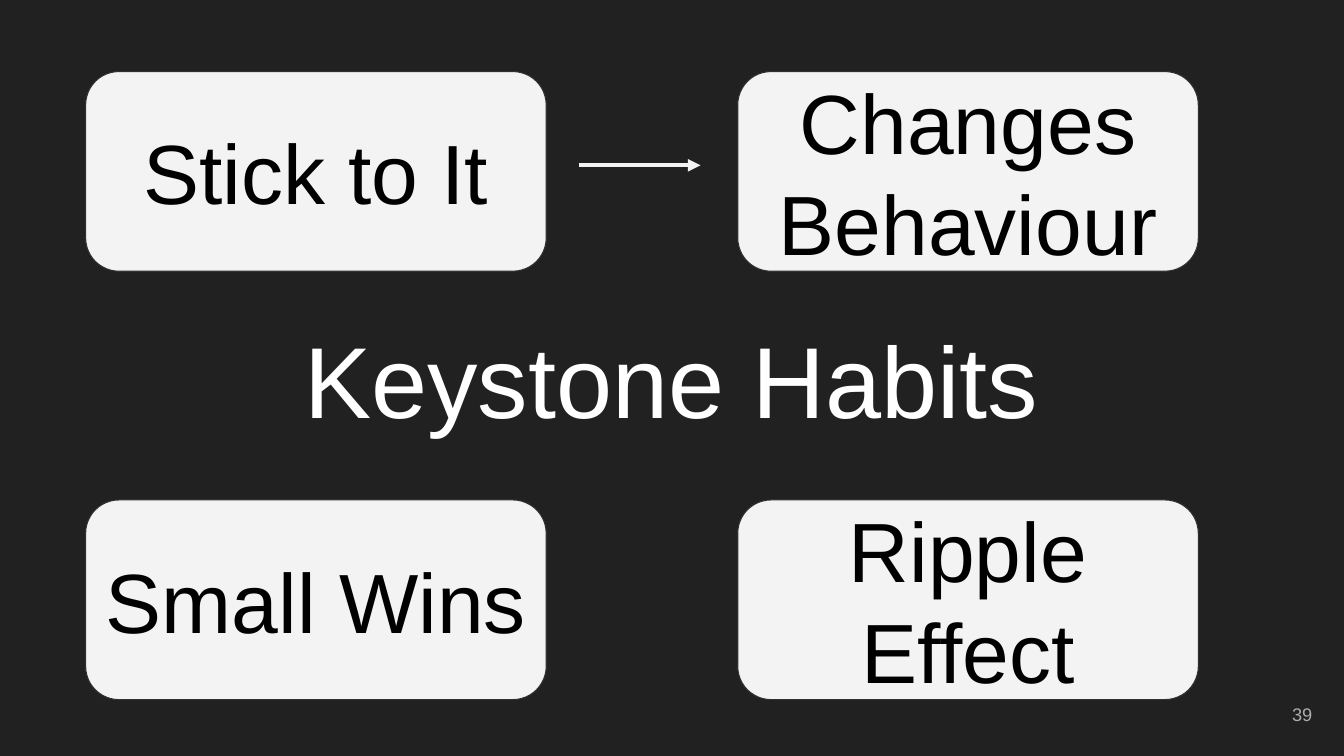
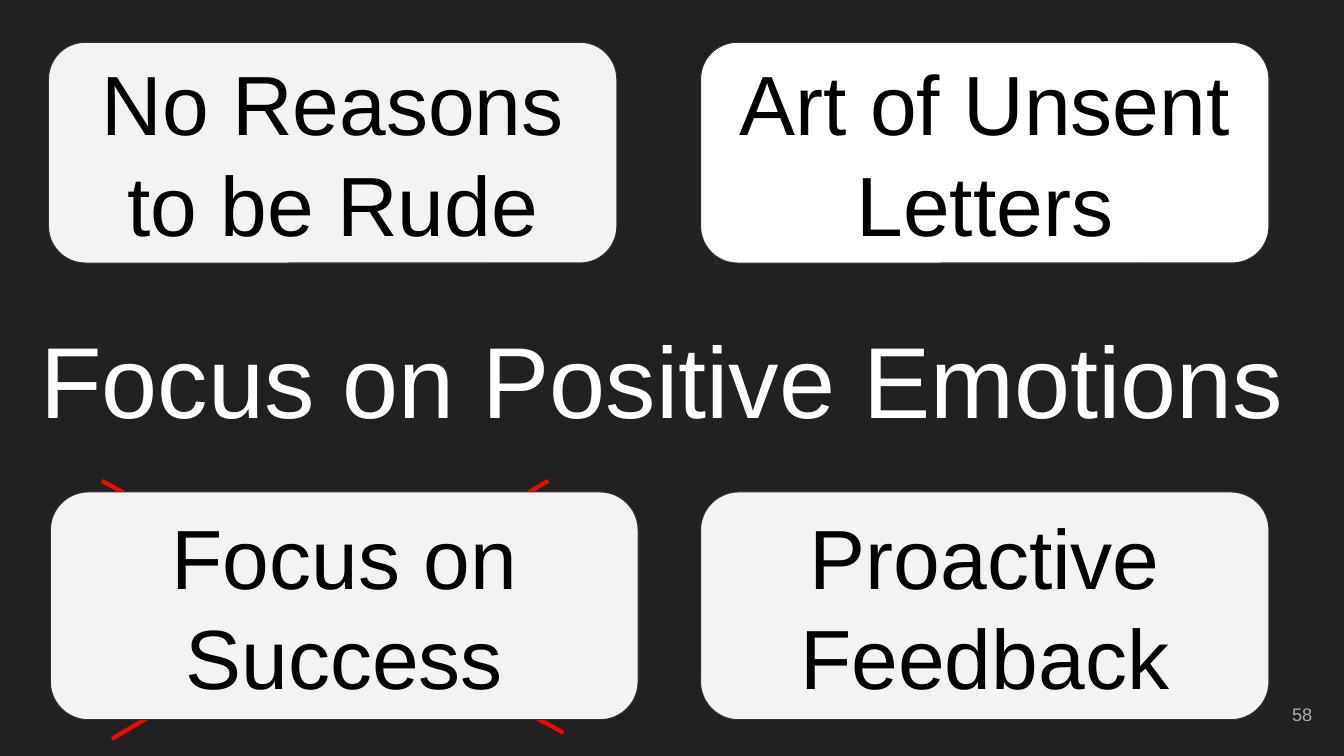
from dataclasses import dataclass

from lxml import etree
from pptx import Presentation
from pptx.dml.color import RGBColor
from pptx.enum.shapes import MSO_CONNECTOR, MSO_SHAPE
from pptx.enum.text import MSO_ANCHOR, PP_ALIGN
from pptx.oxml.ns import qn
from pptx.util import Pt

CENTER, RIGHT = PP_ALIGN.CENTER, PP_ALIGN.RIGHT
MIDDLE = MSO_ANCHOR.MIDDLE
ROUNDED = MSO_SHAPE.ROUNDED_RECTANGLE
STRAIGHT = MSO_CONNECTOR.STRAIGHT


@dataclass(frozen=True)
class Theme:
    font: str = "Arial"
    background: RGBColor = RGBColor(0x21, 0x21, 0x21)
    white: RGBColor = RGBColor(0xFF, 0xFF, 0xFF)
    card: RGBColor = RGBColor(0xF3, 0xF3, 0xF3)
    card_border: RGBColor = RGBColor(0x30, 0x30, 0x30)
    card_text: RGBColor = RGBColor(0, 0, 0)
    page_number: RGBColor = RGBColor(0xAD, 0xAD, 0xAD)
    cross: RGBColor = RGBColor(0xFF, 0, 0)
    title_size: int = 72
    card_size: int = 60
    page_number_size: int = 13
    text_inset: float = 9.4
    card_inset: float = 7.2


THEME = Theme()

# Cards: left, top, width, height, fill, paragraphs
# Lines: start x, start y, end x, end y, colour, has arrowhead
SLIDES = [
    {
        "title": "Keystone Habits",
        "title_span": (32.4, 894.2),
        "page": "39",
        "lines": [(413.3, 118.1, 500.4, 118.1, THEME.card, True)],
        "cards": [
            (left, top, 329, 142.6, THEME.card, paragraphs)
            for left, top, paragraphs in [
                (61.2, 51.1, ["Stick to It"]),
                (527, 51.1, ["Changes", "Behaviour"]),
                (61.2, 357.1, ["Small Wins"]),
                (527, 357.1, ["Ripple Effect"]),
            ]
        ],
    },
    {
        "title": "Focus on Positive Emotions",
        "title_span": (18.7, 908.7),
        "page": "58",
        "lines": [
            (72.7, 343.4, 402.5, 523.4, THEME.cross, False),
            (79.9, 527.8, 391.7, 343.4, THEME.cross, False),
        ],
        "cards": [
            (34.6, 30.2, 406, 157.7, THEME.card, ["No Reasons to be Rude"]),
            (500.4, 30.2, 406, 157.7, THEME.white, ["Art of Unsent Letters"]),
            (36, 351.4, 419.8, 162.7, THEME.card, ["Focus on Success"]),
            (500.4, 351.4, 406, 162.7, THEME.card, ["Proactive Feedback"]),
        ],
    },
]


def write_text(shape, paragraphs, size, color, alignment, inset):
    frame = shape.text_frame
    frame.word_wrap = True
    frame.vertical_anchor = MIDDLE
    frame.margin_left = frame.margin_right = Pt(inset)
    frame.margin_top = frame.margin_bottom = Pt(inset)
    for index, text in enumerate(paragraphs):
        paragraph = frame.add_paragraph() if index else frame.paragraphs[0]
        paragraph.alignment = alignment
        run = paragraph.add_run()
        run.text = text
        run.font.name = THEME.font
        run.font.size = Pt(size)
        run.font.color.rgb = color


presentation = Presentation()
presentation.slide_width = Pt(960)
presentation.slide_height = Pt(540)
blank_layout = presentation.slide_layouts[6]

for content in SLIDES:
    slide = presentation.slides.add_slide(blank_layout)
    slide.background.fill.solid()
    slide.background.fill.fore_color.rgb = THEME.background

    title_left, title_width = content["title_span"]
    title = slide.shapes.add_textbox(Pt(title_left), Pt(226.1), Pt(title_width), Pt(88.6))
    write_text(title, [content["title"]], THEME.title_size, THEME.white, CENTER, THEME.text_inset)

    page_number = slide.shapes.add_textbox(Pt(889.2), Pt(489.6), Pt(57.6), Pt(41))
    write_text(page_number, [content["page"]], THEME.page_number_size, THEME.page_number,
               RIGHT, THEME.text_inset)

    # The lines lie behind the cards.
    for start_x, start_y, end_x, end_y, color, has_arrowhead in content["lines"]:
        connector = slide.shapes.add_connector(
            STRAIGHT, Pt(start_x), Pt(start_y), Pt(end_x), Pt(end_y))
        connector.line.color.rgb = color
        connector.line.width = Pt(3)
        if has_arrowhead:
            line_xml = connector.line._get_or_add_ln()
            etree.SubElement(line_xml, qn("a:tailEnd"), type="triangle")
        etree.SubElement(connector._element.spPr, qn("a:effectLst"))

    for left, top, width, height, fill, paragraphs in content["cards"]:
        card = slide.shapes.add_shape(ROUNDED, Pt(left), Pt(top), Pt(width), Pt(height))
        card.adjustments[0] = 0.167
        card.shadow.inherit = False
        card.fill.solid()
        card.fill.fore_color.rgb = fill
        card.line.color.rgb = THEME.card_border
        card.line.width = Pt(0.75)
        write_text(card, paragraphs, THEME.card_size, THEME.card_text, CENTER, THEME.card_inset)

presentation.save("out.pptx")
